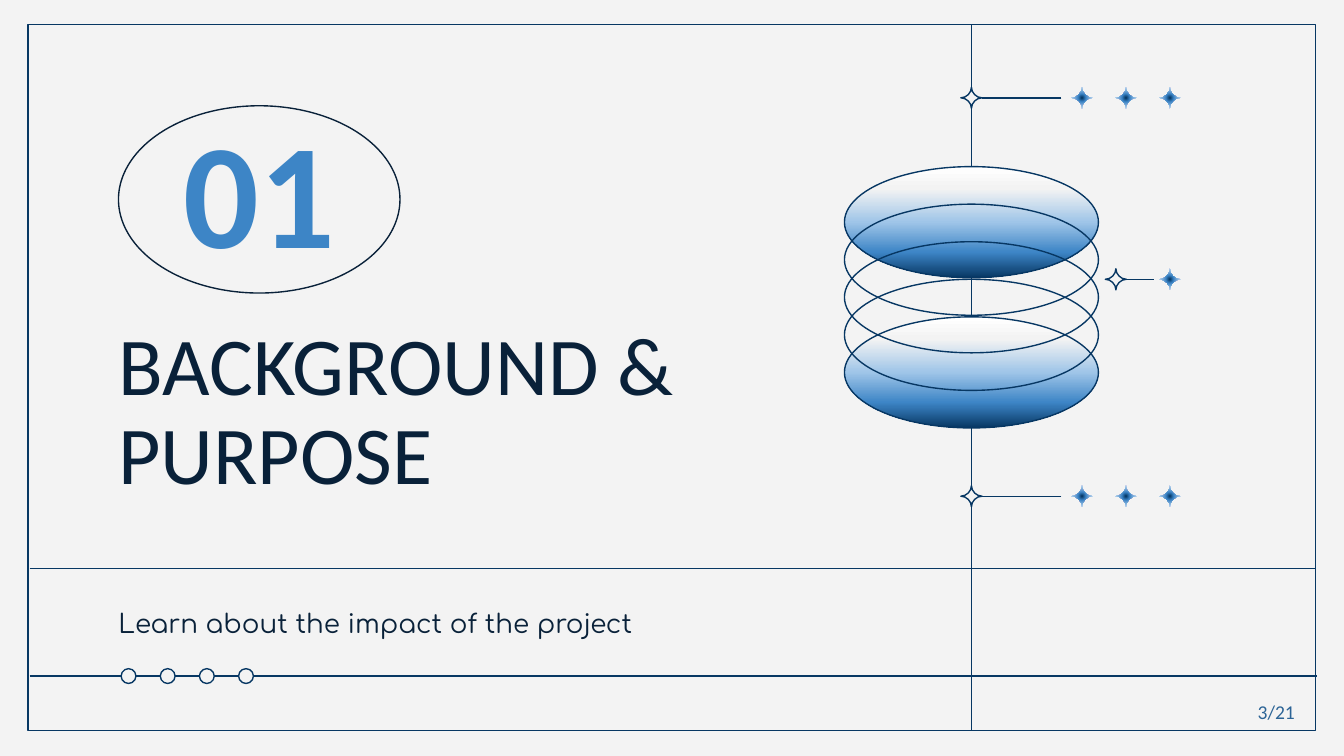
from lxml import etree
from pptx import Presentation
from pptx.dml.color import RGBColor
from pptx.enum.shapes import MSO_CONNECTOR as LINE, MSO_SHAPE as SHAPE
from pptx.enum.text import MSO_ANCHOR as ANCHOR, PP_ALIGN as ALIGN
from pptx.oxml import parse_xml
from pptx.oxml.ns import nsdecls, qn
from pptx.util import Cm, Pt

PAPER, NAVY, INK, BLUE, PALE = "F3F3F3", "073763", "092139", "3D85C6", "9FC5E8"
DISK = [(0, "FFFFFF"), (20, PAPER), (50, PALE), (77, BLUE), (100, NAVY)]
GLOW = [(0, NAVY), (25, BLUE), (60, PALE), (100, PAPER)]
DOWN = '<a:lin ang="5400000" scaled="0"/>'
ROUND = ('<a:path path="circle"><a:fillToRect l="50000" t="50000" '
         'r="50000" b="50000"/></a:path>')
AXIS = 18.36
RADIUS = 0.2


def color(code):
    return RGBColor.from_string(code)


def blend(shape, stops, course):
    """Fill with a gradient: percent and colour stops, then its direction."""
    shape.fill.gradient()
    old = shape._element.spPr.find(qn("a:gradFill"))
    marks = "".join(f'<a:gs pos="{at * 1000}"><a:srgbClr val="{code}"/></a:gs>'
                    for at, code in stops)
    new = parse_xml(f'<a:gradFill {nsdecls("a")} rotWithShape="1">'
                    f'<a:gsLst>{marks}</a:gsLst>{course}</a:gradFill>')
    old.getparent().replace(old, new)


def style(shape, fill=None, line=NAVY):
    shape.shadow.inherit = False
    if fill:
        shape.fill.solid()
        shape.fill.fore_color.rgb = color(fill)
    else:
        shape.fill.background()
    if line:
        shape.line.color.rgb = color(line)
        shape.line.width = Pt(0.75)
    else:
        shape.line.fill.background()


def add_form(slide, kind, x, y, w, h, fill=None, line=NAVY):
    shape = slide.shapes.add_shape(kind, Cm(x), Cm(y), Cm(w), Cm(h))
    style(shape, fill, line)
    return shape


def add_line(slide, x1, y1, x2, y2):
    line = slide.shapes.add_connector(
        LINE.STRAIGHT, Cm(x1), Cm(y1), Cm(x2), Cm(y2))
    line.line.color.rgb = color(NAVY)
    line.line.width = Pt(0.75)
    etree.SubElement(line._element.spPr, qn("a:effectLst"))


def bend(shape):
    """Turn each straight side into a curve pulled towards the centre."""
    mid, pull = Cm(RADIUS), 0.47
    start = shape._element.find(".//" + qn("a:moveTo"))[0]
    for side in shape._element.findall(".//" + qn("a:lnTo")):
        end = side[0]
        curve = etree.Element(qn("a:cubicBezTo"))
        for tip in (start, end):
            spot = {axis: str(round(mid + pull * (int(tip.get(axis)) - mid)))
                    for axis in "xy"}
            etree.SubElement(curve, qn("a:pt"), spot)
        side.getparent().replace(side, curve)
        curve.append(end)
        start = end


def add_star(slide, x, y, glow=False):
    tips = [(Cm(x + a * RADIUS), Cm(y + b * RADIUS))
            for a, b in [(0, -1), (-1, 0), (0, 1), (1, 0)]]
    pen = slide.shapes.build_freeform(*tips[0])
    pen.add_line_segments(tips[1:] + tips[:1], close=True)
    star = pen.convert_to_shape()
    bend(star)
    if glow:
        style(star, line=None)
        blend(star, GLOW, ROUND)
    else:
        style(star, PAPER)


def add_rod(slide, x, y, end, glows):
    """Draw an open star, the rod to its right and the glowing stars."""
    add_star(slide, x, y)
    add_line(slide, end, y, x + RADIUS, y)
    for spot in glows:
        add_star(slide, spot, y, glow=True)


def add_stack(slide):
    tops = [3.15 + 0.71 * i for i in range(5)]
    for i in (4, 0, 1, 2, 3):
        disk = add_form(slide, SHAPE.OVAL, 15.96, tops[i], 4.8, 2.1)
        if i in (0, 4):
            blend(disk, DISK, DOWN)


def add_text(slide, text, x, y, w, h, size, ink, font="Calibri", bold=False,
             wrap=True, top=0.25):
    frame = slide.shapes.add_textbox(Cm(x), Cm(y), Cm(w), Cm(h)).text_frame
    frame.word_wrap = wrap
    frame.margin_left = frame.margin_right = frame.margin_bottom = Cm(0.25)
    frame.margin_top = Cm(top)
    frame.text = text
    face = frame.paragraphs[0].runs[0].font
    face.name, face.size, face.bold = font, Pt(size), bold
    face.color.rgb = color(ink)
    return frame


def main():
    deck = Presentation()
    deck.slide_width, deck.slide_height = Cm(25.4), Cm(14.29)
    slide = deck.slides.add_slide(deck.slide_layouts[6])
    slide.background.fill.solid()
    slide.background.fill.fore_color.rgb = color(PAPER)

    add_form(slide, SHAPE.RECTANGLE, 0.53, 0.46, 24.33, 13.35)
    add_line(slide, AXIS, 0.46, AXIS, 13.81)
    glows = [20.45 + 0.83 * i for i in range(3)]
    for y in (1.85, 9.38):
        add_rod(slide, AXIS, y, 20.06, glows)
    add_line(slide, 0.56, 12.78, 24.89, 12.78)
    add_line(slide, 0.56, 10.74, 24.86, 10.74)
    add_stack(slide)

    add_form(slide, SHAPE.OVAL, 2.24, 2, 5.32, 3.54, line=INK)
    title = add_text(slide, "BACKGROUND & PURPOSE",
                     1.99, 5.89, 12.12, 3.76, 44, INK)
    title.paragraphs[0].line_spacing = 0.9
    number = add_text(slide, "01", 2.5, 2.31, 4.8, 2.77, 80, BLUE,
                      bold=True, top=0)
    number.vertical_anchor = ANCHOR.MIDDLE
    number.paragraphs[0].alignment = ALIGN.CENTER
    add_text(slide, "Learn about the impact of the project",
             1.99, 11.23, 12.12, 1.07, 14, INK, font="Comfortaa")

    for i in range(4):
        add_form(slide, SHAPE.OVAL, 2.29 + 0.74 * i, 12.64, 0.28, 0.28, PAPER)
    add_rod(slide, 21.09, 5.28, 21.8, glows[-1:])
    add_text(slide, "3/21", 23.52, 13.11, 1.32, 0.71, 10.5, "2C6496",
             wrap=False, top=0.13)
    deck.save("out.pptx")


if __name__ == "__main__":
    main()
